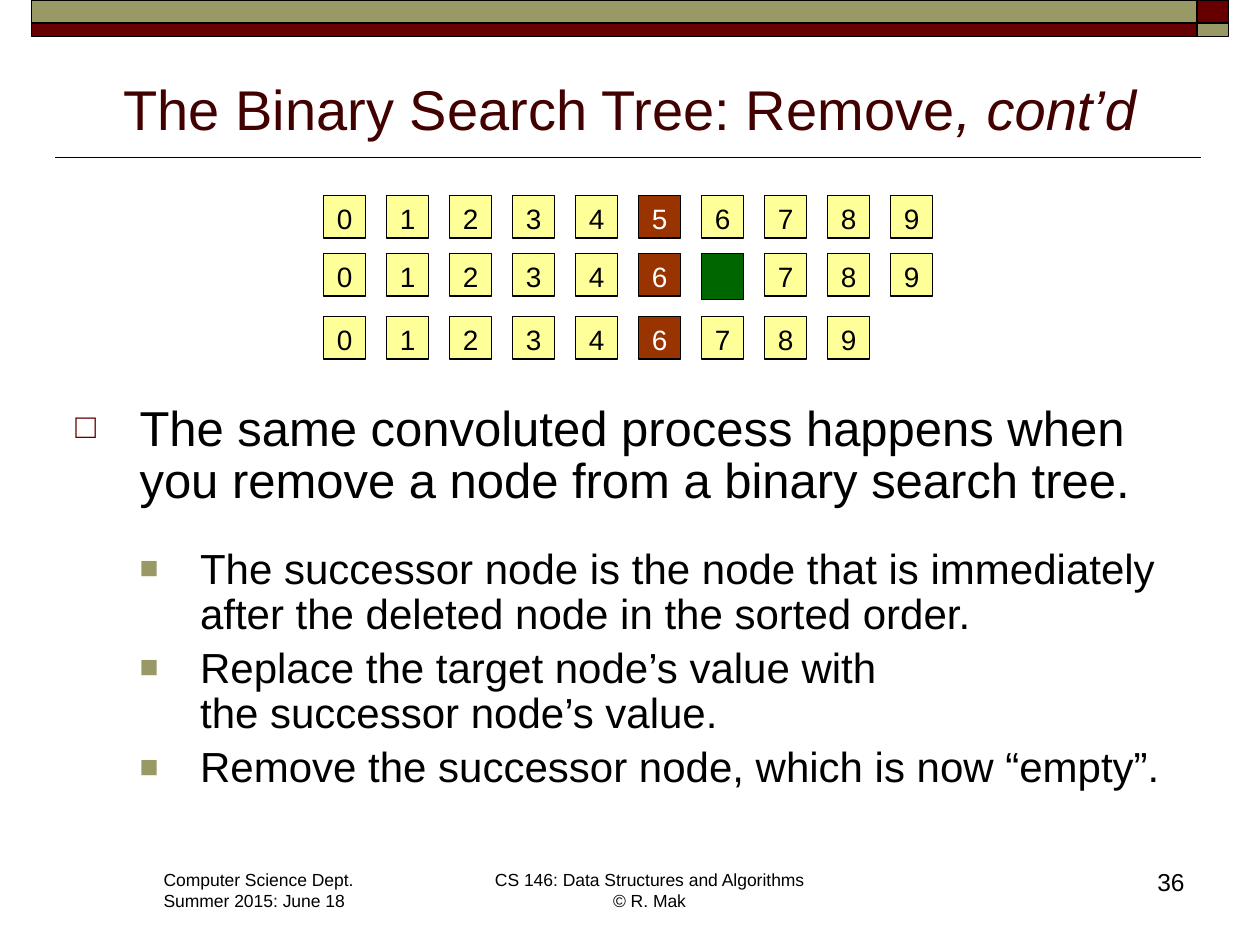
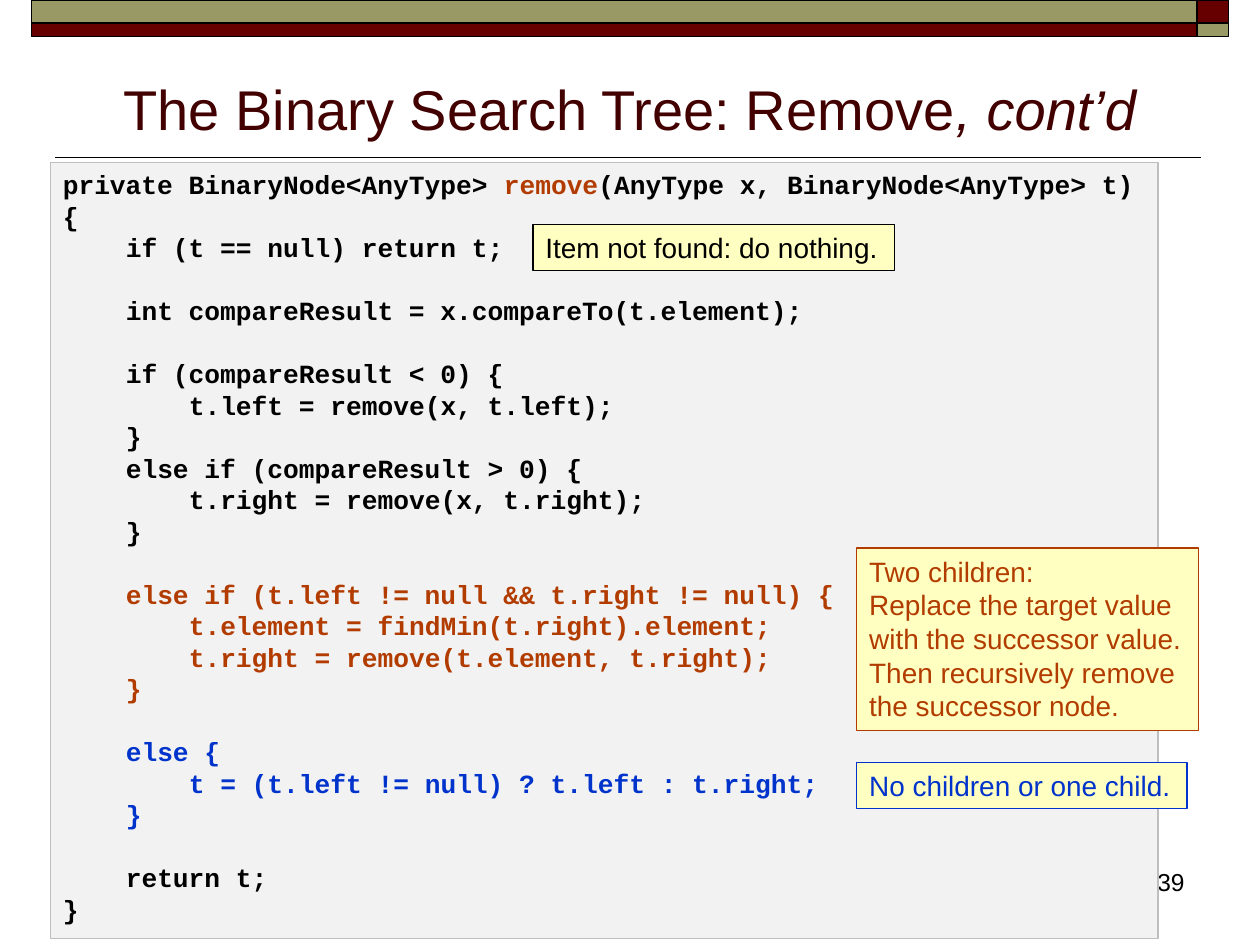
from lxml import etree
from pptx import Presentation
from pptx import util as u
from pptx.dml.color import RGBColor
from pptx.enum import shapes, text
from pptx.oxml.ns import qn

COLORS = {
    "black": "000000",
    "white": "FFFFFF",
    "maroon": "660000",
    "olive": "999966",
    "title": "420000",
    "cell": "FFFF99",
    "target": "993300",
    "empty": "006600",
    "panel": "F2F2F2",
    "panel_edge": "BFBFBF",
    "note": "FFFFC2",
    "rust": "B23C00",
    "blue": "0033CC",
}

ARRAY_ROWS = [(1.55, "0123456789"), (2.01, "012346 789"), (2.51, "012346789")]
TARGET_INDEX = 5

SUCCESSOR_STEPS = [
    "The successor node is the node that is immediately after the deleted node in the sorted order.",
    "Replace the target node’s value with\vthe successor node’s value.",
    "Remove the successor node, which is now “empty”.",
]

CODE_BLOCKS = [
    ("black", [
        (0, [("private BinaryNode<AnyType> ", {}), ("remove", {"color": "rust"}),
             ("(AnyType x, BinaryNode<AnyType> t)", {})]),
        (0, "{"),
        (1, "if (t == null) return t;"),
    ]),
    ("black", [(1, "int compareResult = x.compareTo(t.element);")]),
    ("black", [
        (1, "if (compareResult < 0) {"),
        (2, "t.left = remove(x, t.left);"),
        (1, "}"),
        (1, "else if (compareResult > 0) {"),
        (2, "t.right = remove(x, t.right);"),
        (1, "}"),
    ]),
    ("rust", [
        (1, "else if (t.left != null && t.right != null) {"),
        (2, "t.element = findMin(t.right).element;"),
        (2, "t.right = remove(t.element, t.right);"),
        (1, "}"),
    ]),
    ("blue", [
        (1, "else {"),
        (2, "t = (t.left != null) ? t.left : t.right;"),
        (1, "}"),
    ]),
    ("black", [(1, "return t;"), (0, "}")]),
]

NOTES = [
    ((6.8, 4.35, 2.71, 1.45), "rust", [
        "Two children:",
        "Replace the target value",
        "with the successor value.",
        "Then recursively remove",
        "the successor node.",
    ]),
    ((6.8, 6.05, 2.62, 0.37), "blue", ["No children or one child."]),
    ((4.23, 1.78, 2.87, 0.37), "black", ["Item not found: do nothing."]),
]


def rgb(color):
    """Return the named colour."""
    return RGBColor.from_string(COLORS[color])


def inches(*lengths):
    """Convert several lengths to inches."""
    return [u.Inches(length) for length in lengths]


def prepare_frame(frame, wrap=True, anchor=text.MSO_ANCHOR.TOP):
    """Set the wrapping and anchor of a text frame."""
    frame.word_wrap = wrap
    frame.vertical_anchor = anchor
    return frame


def add_box(slide, at, fill, edge="black", width=0.75):
    """Draw an outlined rectangle and return it."""
    box = slide.shapes.add_shape(shapes.MSO_SHAPE.RECTANGLE, *inches(*at))
    box.shadow.inherit = False
    box.fill.solid()
    box.fill.fore_color.rgb = rgb(fill)
    box.line.color.rgb = rgb(edge)
    box.line.width = u.Pt(width)
    prepare_frame(box.text_frame)
    return box


def add_label(slide, at, wrap=True, anchor=text.MSO_ANCHOR.TOP):
    """Add a text box and return its frame."""
    label = slide.shapes.add_textbox(*inches(*at))
    return prepare_frame(label.text_frame, wrap, anchor)


def write(frame, content, size, color="black", font="Arial", bold=False,
          align=text.PP_ALIGN.LEFT, before=0, spacing=1):
    """Append a paragraph made of a string or of styled pieces."""
    first = frame.paragraphs[0]
    paragraph = frame.add_paragraph() if first.text else first
    paragraph.alignment = align
    paragraph.line_spacing = u.Pt(round(size * 1.2 * spacing, 1))
    paragraph.space_before = u.Pt(before)
    paragraph.font.name = font
    paragraph.font.size = u.Pt(size)
    paragraph.font.bold = bold
    paragraph.font.color.rgb = rgb(color)
    if isinstance(content, str):
        paragraph.text = content
        return paragraph
    for piece, style in content:
        run = paragraph.add_run()
        run.text = piece
        if "italic" in style:
            run.font.italic = style["italic"]
        if "color" in style:
            run.font.color.rgb = rgb(style["color"])
    return paragraph


def indent(paragraph, margin, hanging=0):
    """Set the left margin and hanging indent of a paragraph."""
    properties = paragraph._p.get_or_add_pPr()
    properties.set("marL", str(u.Inches(margin)))
    properties.set("indent", str(-u.Inches(hanging)))
    return properties


def add_bullet(paragraph, mark, color, percent, margin, hanging):
    """Give a paragraph a coloured bullet."""
    properties = indent(paragraph, margin, hanging)
    tint = etree.Element(qn("a:buClr"))
    etree.SubElement(tint, qn("a:srgbClr"), val=COLORS[color])
    scale = etree.Element(qn("a:buSzPct"), val=str(percent * 1000))
    face = etree.Element(qn("a:buFont"), typeface="Arial")
    sign = etree.Element(qn("a:buChar"), char=mark)
    defaults = properties.find(qn("a:defRPr"))
    for part in (tint, scale, face, sign):
        defaults.addprevious(part)


def add_rule(slide):
    """Draw the line under the title."""
    rule = slide.shapes.add_connector(
        shapes.MSO_CONNECTOR.STRAIGHT, *inches(9.53, 1.25, 0.44, 1.25))
    rule.line.color.rgb = rgb("black")
    rule.line.width = u.Pt(1)
    etree.SubElement(rule._element.spPr, qn("a:effectLst"))


def add_base_slide(deck, number):
    """Add a slide with bands, rule, page number and title."""
    slide = deck.slides.add_slide(deck.slide_layouts[6])
    add_rule(slide)
    for top, height, band, corner in ((0, 0.18, "olive", "maroon"),
                                      (0.18, 0.11, "maroon", "olive")):
        add_box(slide, (0.25, top, 9.25, height), band, width=1)
        add_box(slide, (9.5, top, 0.25, height), corner, width=1)
    write(add_label(slide, (7.42, 6.83, 2.08, 0.5)), number, 14,
          align=text.PP_ALIGN.RIGHT)
    heading = add_label(slide, (0.5, 0.45, 9, 0.72), anchor=text.MSO_ANCHOR.BOTTOM)
    write(heading, [("The Binary Search Tree: Remove", {}),
                    (", cont’d", {"italic": True})],
          32, "title", align=text.PP_ALIGN.CENTER)
    return slide


def add_footers(slide):
    """Add the department and course footers."""
    department = add_label(slide, (1.2, 6.85, 1.73, 0.44))
    for line in ("Computer Science Dept.", "Summer 2015: June 18"):
        write(department, line, 10)
    course = add_label(slide, (3.82, 6.85, 2.67, 0.44), wrap=False)
    write(course, "CS 146: Data Structures and Algorithms\v© R. Mak", 10,
          align=text.PP_ALIGN.CENTER)


def add_array_row(slide, top, values):
    """Draw one row of array cells; a space marks the emptied cell."""
    for index, value in enumerate(values):
        emptied = value == " "
        fill, ink = ("target", "white") if index == TARGET_INDEX else ("cell", "black")
        at = (2.57 + index * 0.5, top, 0.33, 0.37 if emptied else 0.34)
        cell = add_box(slide, at, "empty" if emptied else fill)
        if not emptied:
            frame = prepare_frame(cell.text_frame, wrap=False)
            write(frame, value, 16, ink, align=text.PP_ALIGN.CENTER)


def add_explanation(slide):
    """Add the bulleted explanation of the removal."""
    body = add_label(slide, (0.5, 3.15, 9, 3.56))
    claim = write(body, "The same convoluted process happens when you remove "
                        "a node from a binary search tree.", 28, spacing=0.9)
    add_bullet(claim, "□", "maroon", 70, 0.51, 0.51)
    for index, step in enumerate(SUCCESSOR_STEPS):
        paragraph = write(body, step, 24, before=5 if index else 22, spacing=0.9)
        add_bullet(paragraph, "■", "olive", 75, 0.99, 0.48)


def add_code(slide):
    """Add the code panel, one line of space between blocks."""
    panel = add_box(slide, (0.4, 1.29, 8.79, 6.16), "panel", "panel_edge")
    for block, (color, lines) in enumerate(CODE_BLOCKS):
        for row, (level, line) in enumerate(lines):
            gap = 18 if block and row == 0 else 0
            paragraph = write(panel.text_frame, line, 15, color, "Courier New",
                              bold=True, before=gap)
            indent(paragraph, level * 0.5)


def add_note(slide, at, color, lines):
    """Add a yellow note beside the code."""
    note = add_box(slide, at, "note", color)
    for line in lines:
        write(note.text_frame, line, 16, color)


def main():
    """Build both slides and save the deck."""
    deck = Presentation()
    deck.slide_width, deck.slide_height = inches(10, 7.5)

    process = add_base_slide(deck, "36")
    add_footers(process)
    add_explanation(process)
    for top, values in ARRAY_ROWS:
        add_array_row(process, top, values)

    method = add_base_slide(deck, "39")
    add_code(method)
    for at, color, lines in NOTES:
        add_note(method, at, color, lines)

    deck.save("out.pptx")


if __name__ == "__main__":
    main()
